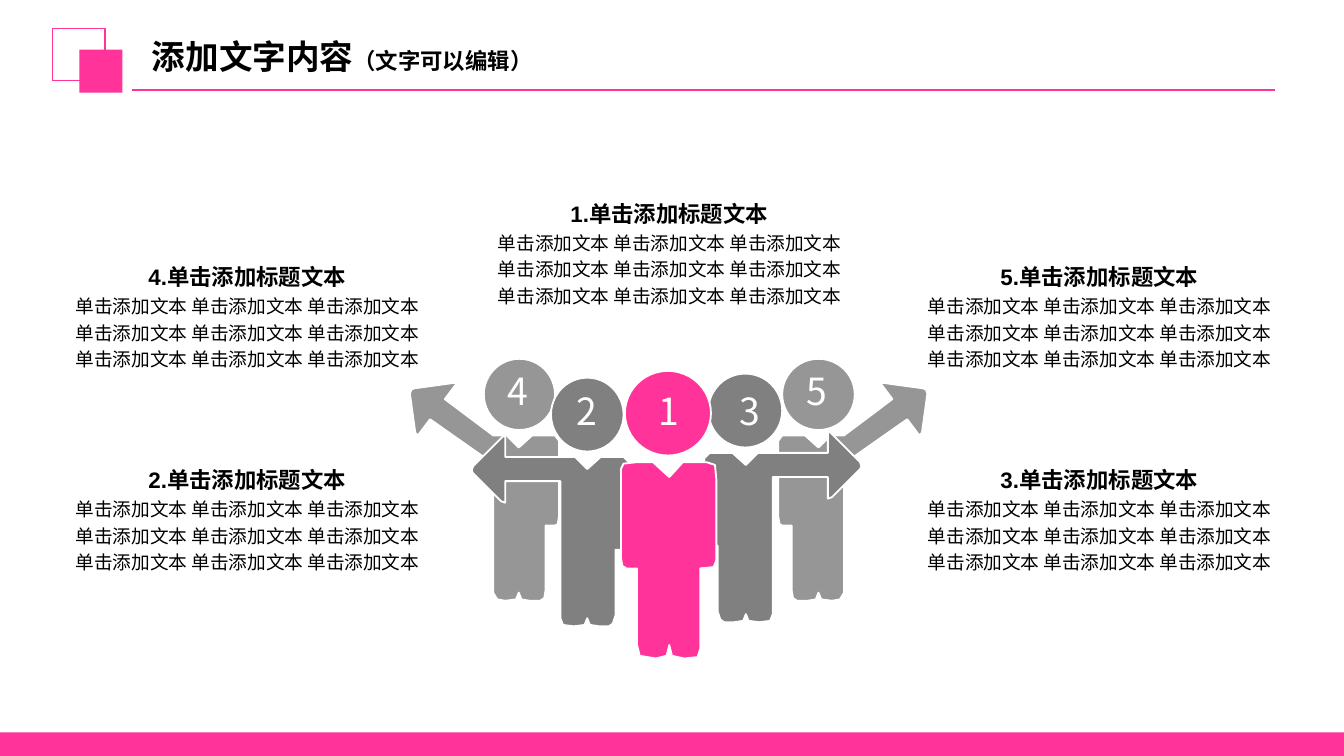
from dataclasses import dataclass

from pptx import Presentation
from pptx.dml.color import RGBColor as Rgb
from pptx.enum.shapes import MSO_CONNECTOR as Line, MSO_SHAPE as Shape
from pptx.enum.text import MSO_ANCHOR as Anchor, MSO_AUTO_SIZE as Fit, PP_ALIGN as Align
from pptx.oxml.ns import qn
from pptx.util import Pt

PX = 9144  # one px is a hundredth of an inch
WIDE = 1000
PINK, GREY, PALE, WHITE, BLACK = "FF3399", "808080", "969696", "FFFFFF", "000000"
SANS, LATIN = "Noto Sans CJK SC", "Arial"

Points = list[tuple[int, int]]

# Body outlines, drawn for the left side of the team
OUTER: Points = [
    (308, 289), (337, 285), (340, 285), (331, 297), (367, 324), (377, 324),
    (386, 333), (396, 324), (413, 324), (416, 328), (416, 384), (415, 390),
    (413, 391), (406, 391), (406, 439), (405, 445), (402, 447), (394, 447),
    (388, 446), (386, 441), (384, 446), (376, 447), (370, 446), (367, 441),
    (367, 345), (320, 312), (311, 324), (309, 322), (305, 293), (306, 290)]
INNER: Points = [
    (352, 347), (374, 325), (376, 324), (376, 340), (428, 340), (437, 349),
    (447, 340), (464, 340), (468, 344), (468, 401), (467, 408), (464, 409),
    (458, 409), (458, 458), (456, 464), (453, 466), (446, 466), (439, 465),
    (437, 460), (435, 465), (427, 466), (419, 465), (417, 460), (417, 358),
    (376, 358), (376, 374), (373, 373), (352, 352), (351, 350)]
LEADER: Points = [
    (498, 355), (508, 344), (526, 344), (532, 346), (533, 357), (533, 417),
    (531, 422), (521, 423), (521, 483), (519, 489), (509, 490), (500, 488),
    (498, 480), (496, 488), (488, 490), (476, 488), (474, 480), (474, 423),
    (466, 423), (463, 421), (462, 415), (462, 349), (464, 345), (473, 344),
    (486, 344)]


def mirror(points: Points, total: int, drop: int = 0) -> Points:
    return [(total - x, y + drop) for x, y in points]


@dataclass
class Person:
    label: str
    hue: str
    body: Points
    head: tuple[int, int, int, int]
    digit: tuple[int, int]
    block: tuple[int, int]
    head_first: bool = False


TEAM = [
    Person("5", PALE, mirror(OUTER, 995), (582, 267, 54, 53), (600, 274), (679, 187)),
    Person("4", PALE, OUTER, (360, 267, 53, 53), (378, 274), (45, 187)),
    Person("2", GREY, INNER, (410, 281, 54, 55), (429, 289), (45, 338), True),
    Person("3", GREY, mirror(INNER, 992, -3), (527, 278, 55, 55), (550, 289),
           (679, 338), True),
    Person("1", PINK, LEADER, (465, 276, 64, 63), (490, 289), (359, 140), True),
]


def color(text: str) -> Rgb:
    return Rgb.from_string(text)


def assign(target, values: dict) -> None:
    for name, value in values.items():
        setattr(target, name, value)


def paint(shape, fill: str | None, line: str | None, width: float = 1) -> None:
    shape.shadow.inherit = False
    if fill:
        shape.fill.solid()
        shape.fill.fore_color.rgb = color(fill)
    else:
        shape.fill.background()
    if line:
        shape.line.color.rgb = color(line)
        shape.line.width = Pt(width)
    else:
        shape.line.fill.background()


def draw(slide, kind: Shape, box: tuple[int, int, int, int], fill: str | None,
         line: str | None, width: float = 1) -> None:
    shape = slide.shapes.add_shape(kind, *(n * PX for n in box))
    paint(shape, fill, line, width)


def outline(slide, points: Points, fill: str) -> None:
    form = slide.shapes.build_freeform(*points[0], scale=PX)
    form.add_line_segments(points[1:], close=True)
    paint(form.convert_to_shape(), fill, WHITE)


def write(par, text: str, size: int, face: str, hue: str, bold: bool = False) -> None:
    run = par.add_run()
    run.text = text
    assign(run.font, {"size": Pt(size), "bold": bold, "name": face})
    run.font.color.rgb = color(hue)
    east = run.font._element.makeelement(qn("a:ea"), {"typeface": SANS})
    run.font._element.find(qn("a:latin")).addnext(east)


def frame(slide, box: tuple[int, int, int, int], inset: tuple[int, int]):
    text = slide.shapes.add_textbox(*(n * PX for n in box)).text_frame
    side, edge = (n * PX for n in inset)
    assign(text, {"word_wrap": False, "auto_size": Fit.SHAPE_TO_FIT_TEXT,
                  "margin_left": side, "margin_right": side,
                  "margin_top": edge, "margin_bottom": edge})
    return text


def add_head(slide) -> None:
    title = slide.shapes.title
    assign(title, {"left": 106 * PX, "top": 23 * PX,
                   "width": 384 * PX, "height": 38 * PX})
    text = title.text_frame
    assign(text, {"word_wrap": True, "auto_size": Fit.NONE,
                  "vertical_anchor": Anchor.TOP,
                  "margin_left": 7 * PX, "margin_right": 7 * PX,
                  "margin_top": 4 * PX, "margin_bottom": 4 * PX})
    par = text.paragraphs[0]
    par.alignment = Align.LEFT
    write(par, "添加文字内容", 18, SANS, BLACK, True)
    write(par, "（文字可以编辑）", 12, SANS, BLACK, True)


def add_person(slide, one: Person) -> None:
    if not one.head_first:
        outline(slide, one.body, one.hue)
    draw(slide, Shape.OVAL, one.head, one.hue, WHITE)
    if one.head_first:
        outline(slide, one.body, one.hue)


def add_block(slide, one: Person) -> None:
    text = frame(slide, (*one.block, 278, 94), (10, 5))
    rows = [(f"{one.label}.单击添加标题文本", 12, True)]
    rows += [(" ".join(["单击添加文本"] * 3), 10, False)] * 3
    for i, (line, size, bold) in enumerate(rows):
        par = text.add_paragraph() if i else text.paragraphs[0]
        assign(par, {"alignment": Align.CENTER, "line_spacing": 1.2})
        write(par, line, size, LATIN, BLACK, bold)


def main() -> None:
    # A 16:9 page
    deck = Presentation()
    assign(deck, {"slide_width": WIDE * PX, "slide_height": WIDE * PX * 9 // 16})
    slide = deck.slides.add_slide(deck.slide_layouts[5])

    # Frame: bottom bar, corner squares, rule and title
    draw(slide, Shape.RECTANGLE, (0, 545, WIDE, 18), PINK, None)
    draw(slide, Shape.RECTANGLE, (39, 21, 39, 39), None, PINK, 0.75)
    draw(slide, Shape.RECTANGLE, (59, 37, 32, 32), PINK, None)
    rule = slide.shapes.add_connector(
        Line.STRAIGHT, *(n * PX for n in (98, 67, 949, 67)))
    rule.line.color.rgb = color(PINK)
    rule.line.width = Pt(1.25)
    props = rule._element.spPr
    props.append(props.makeelement(qn("a:effectLst"), {}))
    add_head(slide)

    # Team, from back to front
    for one in TEAM:
        add_person(slide, one)

    # Numbers on the heads, and the text blocks
    for one in TEAM:
        text = frame(slide, (*one.digit, 16, 33), (0, 0))
        write(text.paragraphs[0], one.label, 20, SANS, WHITE)
    for one in TEAM:
        add_block(slide, one)

    deck.save("out.pptx")


if __name__ == "__main__":
    main()
